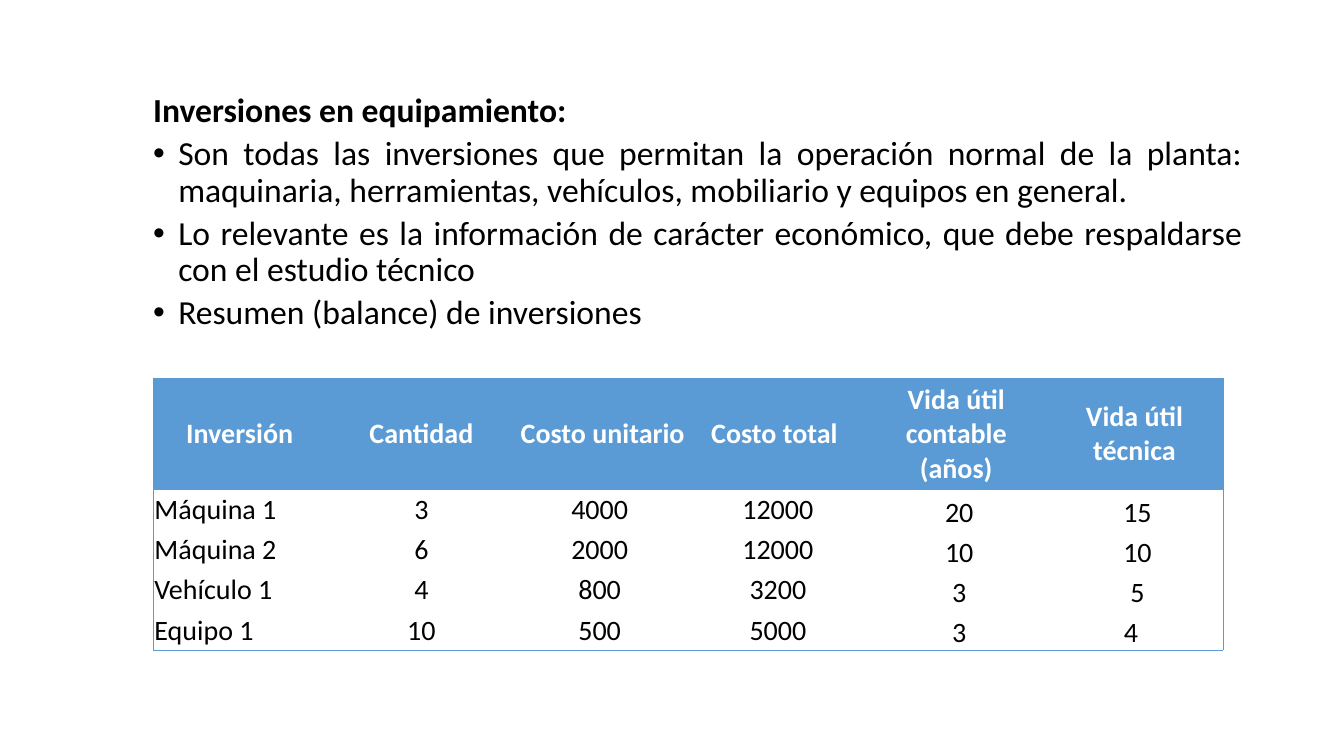
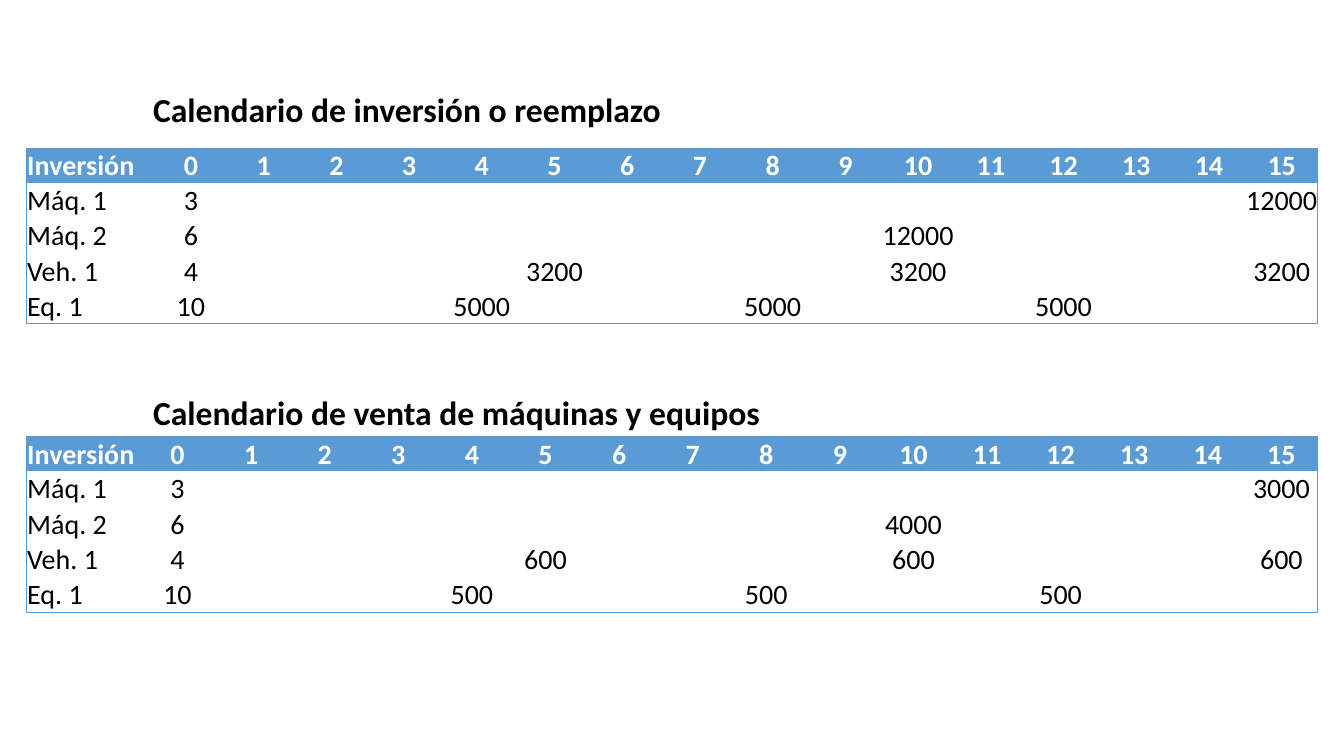
from dataclasses import dataclass
from lxml import etree
from pptx import Presentation
from pptx.dml.color import RGBColor
from pptx.enum.text import MSO_ANCHOR, PP_ALIGN
from pptx.oxml.ns import qn
from pptx.util import Inches, Pt

LEFT, MID, JUST = PP_ALIGN.LEFT, PP_ALIGN.CENTER, PP_ALIGN.JUSTIFY
CENTER, LOW = MSO_ANCHOR.MIDDLE, MSO_ANCHOR.BOTTOM
WIDE, HIGH = Inches(13.33), Inches(7.5)
PLAIN = "{2D5ABB26-0587-4C30-8999-92F81FD0307C}"


@dataclass(frozen=True)
class Theme:
    """Colours, fonts, sizes and insets of the deck."""
    font: str = "Calibri"
    dot: str = "Arial"
    ink: str = "000000"
    light: str = "FFFFFF"
    blue: str = "5B9BD5"
    body: int = 24
    cell: int = 20
    rule: float = 0.5
    inset: float = 0.01
    shift: float = 0.07


@dataclass(frozen=True)
class Box:
    """A region in hundredths of the slide's width and height."""
    x: float
    y: float
    w: float
    h: float

    def place(self):
        """Return left, top, width and height as lengths."""
        return (int(WIDE * self.x / 100), int(HIGH * self.y / 100),
                int(WIDE * self.w / 100), int(HIGH * self.h / 100))


THEME = Theme()


def style(para, size, color, bold, align):
    """Set the font and alignment of a whole paragraph."""
    font = para.font
    font.name, font.size, font.bold = THEME.font, Pt(size), bold
    font.color.rgb = RGBColor.from_string(color)
    para.alignment = align


def indent(para, left, first, mark=None):
    """Set the paragraph's indents in inches and its bullet."""
    props = para._p.get_or_add_pPr()
    props.set("marL", str(Inches(left)))
    props.set("indent", str(Inches(first)))
    if mark:
        last = props.find(qn("a:defRPr"))
        last.addprevious(etree.Element(qn("a:buFont"), typeface=THEME.dot))
        last.addprevious(etree.Element(qn("a:buChar"), char=mark))


def prose(slide, box, head, points=(), align=LEFT):
    """Place a bold heading with bullet points below it."""
    frame = slide.shapes.add_textbox(*box.place()).text_frame
    frame.word_wrap = True
    for num, text in enumerate((head, *points)):
        para = frame.add_paragraph() if num else frame.paragraphs[0]
        para.text = text
        para.line_spacing, para.space_before = 0.9, Pt(5)
        style(para, THEME.body, THEME.ink, num == 0, align)
        if num:
            indent(para, 0.75, -0.25, "•")
        else:
            indent(para, 0.5, 0)


def edge(cell, sides):
    """Draw thin blue borders on the named sides of a cell."""
    props = cell._tc.get_or_add_tcPr()
    for spot, side in enumerate(sides):
        line = etree.Element(qn(f"a:ln{side}"), w=str(Pt(THEME.rule)))
        fill = etree.SubElement(line, qn("a:solidFill"))
        etree.SubElement(fill, qn("a:srgbClr"), val=THEME.blue)
        props.insert(spot, line)


def fill_cell(cell, text, head, align):
    """Write one table cell, as header or body."""
    cell.text = text
    cell.vertical_anchor = CENTER
    cell.margin_left = cell.margin_top = Inches(THEME.inset)
    cell.margin_right = cell.margin_bottom = 0
    style(cell.text_frame.paragraphs[0], THEME.cell,
          THEME.light if head else THEME.ink, head, align)
    if head:
        cell.fill.solid()
        cell.fill.fore_color.rgb = RGBColor.from_string(THEME.blue)
    else:
        cell.fill.background()


def grid(slide, box, rows, lead, top, first=LEFT):
    """Place a framed table; lead and top are the first column's and row's percent."""
    high, wide = len(rows), len(rows[0])
    left, above, width, height = box.place()
    table = slide.shapes.add_table(high, wide, left, above, width, height).table
    table.horz_banding = False
    table._tbl.tblPr.find(qn("a:tableStyleId")).text = PLAIN
    for col, part in enumerate(table.columns):
        part.width = int(width * (lead if col == 0 else (100 - lead) / (wide - 1)) / 100)
    for row, part in enumerate(table.rows):
        part.height = int(height * (top if row == 0 else (100 - top) / (high - 1)) / 100)
    for row, line in enumerate(rows):
        for col, text in enumerate(line):
            cell = table.cell(row, col)
            align = MID if col else (LEFT if row else first)
            fill_cell(cell, text, row == 0, align)
            edge(cell, [side for side, ends in (
                ("L", col == 0), ("R", col == wide - 1),
                ("T", row == 0), ("B", row == high - 1)) if ends])
    return table


def gear(deck):
    """Build the slide on equipment investments."""
    slide = deck.slides.add_slide(deck.slide_layouts[6])
    prose(slide, Box(6.9, 11.73, 86.27, 36), "Inversiones en equipamiento:", (
        "Son todas las inversiones que permitan la operación normal de la planta: "
        "maquinaria, herramientas, vehículos, mobiliario y equipos en general.",
        "Lo relevante es la información de carácter económico, que debe "
        "respaldarse con el estudio técnico",
        "Resumen (balance) de inversiones"), JUST)
    table = grid(slide, Box(11.42, 50, 79.6, 36), (
        ("Inversión", "Cantidad", "Costo unitario", "Costo total",
         "Vida útil contable (años)", "Vida útil técnica"),
        ("Máquina 1", "3", "4000", "12000", "20", "15"),
        ("Máquina 2", "6", "2000", "12000", "10", "10"),
        ("Vehículo 1", "4", "800", "3200", "3", "5"),
        ("Equipo 1", "10", "500", "5000", "3", "4")), 100 / 6, 41, MID)
    push = Inches(THEME.shift)
    table.cell(0, 2).margin_left = push
    for row in range(1, 5):
        for col in (4, 5):
            cell = table.cell(row, col)
            cell.vertical_anchor = LOW
            cell.margin_left = push
    table.cell(4, 5).margin_left = Inches(THEME.inset)
    for row, col in ((0, 0), (0, 3), (4, 5)):
        table.cell(row, col).margin_right = push


def plan(slide, title, y, gap, lead, sums):
    """Place a titled calendar; sums holds each row's step in years and value."""
    prose(slide, Box(6.9, y, 86.27, 6.5), title)
    names = ("Máq. 1", "Máq. 2", "Veh. 1", "Eq. 1")
    stock = ("3", "6", "4", "10")
    years = range(16)
    rows = [("Inversión", *map(str, years))]
    for name, count, (step, value) in zip(names, stock, sums):
        rows.append((name, count, *(
            value if year % step == 0 else "" for year in years[1:])))
    grid(slide, Box(1.95, y + gap, 96.1, 23.2), rows, lead, 19.6)


def dates(deck):
    """Build the slide with both calendars."""
    slide = deck.slides.add_slide(deck.slide_layouts[6])
    plan(slide, "Calendario de inversión o reemplazo", 11.73, 7.87, 9.9,
         ((15, "12000"), (10, "12000"), (5, "3200"), (4, "5000")))
    plan(slide, "Calendario de venta de máquinas y equipos", 51.8, 5.93, 8.83,
         ((15, "3000"), (10, "4000"), (5, "600"), (4, "500")))


def main():
    """Build and save the deck."""
    deck = Presentation()
    deck.slide_width, deck.slide_height = WIDE, HIGH
    gear(deck)
    dates(deck)
    deck.save("out.pptx")


if __name__ == "__main__":
    main()
